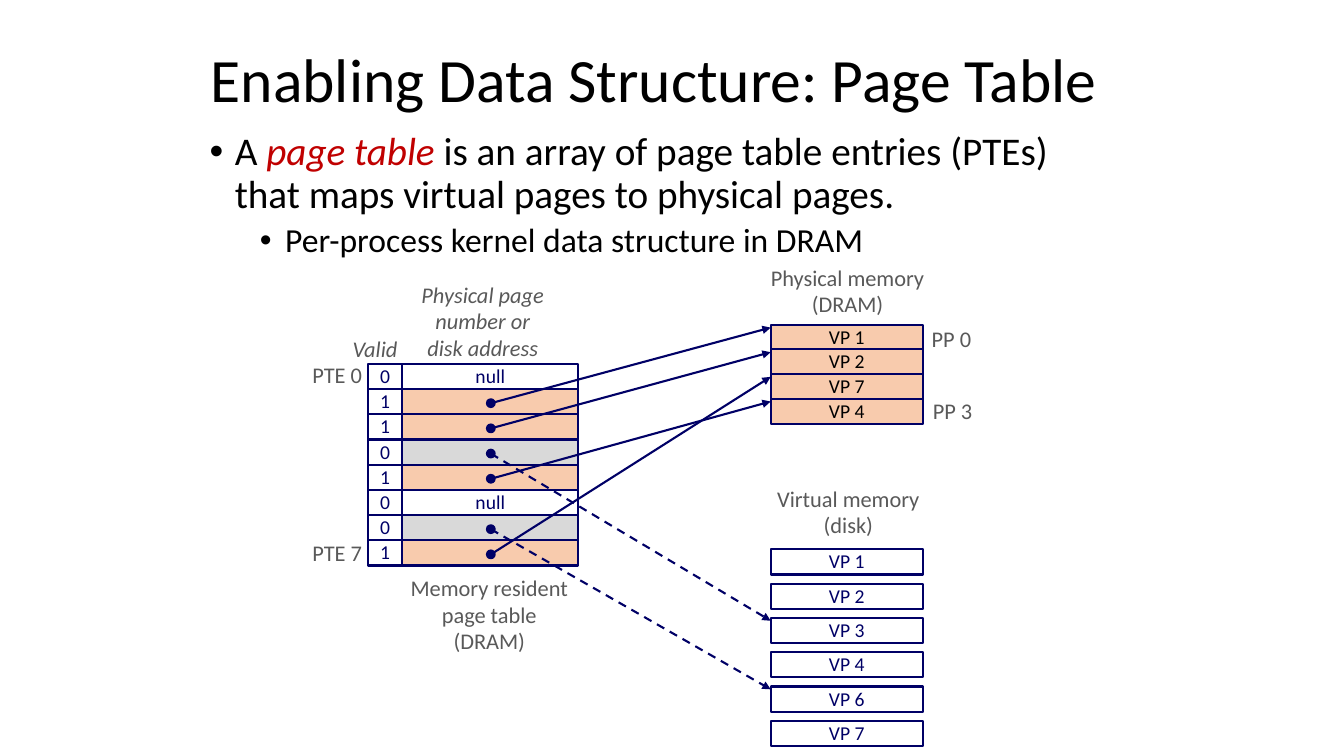
from dataclasses import dataclass
from lxml.etree import SubElement
from pptx import Presentation
from pptx.dml.color import RGBColor
from pptx.enum.dml import MSO_LINE
from pptx.enum.shapes import MSO_CONNECTOR, MSO_SHAPE
from pptx.enum.text import MSO_ANCHOR, PP_ALIGN
from pptx.oxml.ns import qn
from pptx.util import Pt


@dataclass
class Theme:
    """Hold the colours, the font and the type sizes."""
    font: str = "Calibri"
    black: str = "000000"
    navy: str = "000066"
    red: str = "C00000"
    grey: str = "595959"
    pale: str = "D9D9D9"
    peach: str = "F8CBAD"
    white: str = "FFFFFF"
    title: int = 44
    body: int = 28
    sub: int = 24
    label: int = 16
    cell: int = 14


theme = Theme()


def write(frame, text, size=theme.label, color=theme.grey, italic=False,
          align=PP_ALIGN.CENTER, anchor=MSO_ANCHOR.MIDDLE, wrap=False,
          spacing=0.98, before=0, indent=None):
    """Add one paragraph per line of text; *stars* mark red italics."""
    frame.word_wrap = wrap
    frame.vertical_anchor = anchor
    for line in text.split("\n"):
        para = frame.add_paragraph() if frame.text else frame.paragraphs[0]
        para.alignment = align
        para.line_spacing = spacing
        para.space_before = Pt(before)
        for i, part in enumerate(line.split("*")):
            run = para.add_run()
            run.text = part
            font = run.font
            font.name, font.size = theme.font, Pt(size)
            font.italic = italic or i % 2 == 1
            font.color.rgb = RGBColor.from_string(theme.red if i % 2 else color)
        if indent:
            props = para._p.get_or_add_pPr()
            props.set("marL", str(Pt(indent)))
            props.set("indent", str(Pt(-18)))
            SubElement(props, qn("a:buFont"), typeface="Arial")
            SubElement(props, qn("a:buChar"), char="•")


def draw(kind, left, top, width, height, fill, weight=1.5):
    """Add a navy-edged shape and return its text frame."""
    shape = slide.shapes.add_shape(kind, Pt(left), Pt(top), Pt(width), Pt(height))
    shape.shadow.inherit = False
    shape.fill.solid()
    shape.fill.fore_color.rgb = RGBColor.from_string(fill)
    shape.line.color.rgb = RGBColor.from_string(theme.navy)
    shape.line.width = Pt(weight)
    return shape.text_frame


deck = Presentation()
deck.slide_width, deck.slide_height = Pt(960), Pt(540)
slide = deck.slides.add_slide(deck.slide_layouts[5])

# Title and bullets
title = slide.shapes.title
title.left, title.top, title.width, title.height = Pt(143.3), Pt(28), Pt(652), Pt(62)
write(title.text_frame, "Enabling Data Structure: Page Table", size=theme.title,
      color=theme.black, align=PP_ALIGN.LEFT, wrap=True, spacing=0.9)

body = slide.shapes.add_textbox(Pt(142.6), Pt(90.7), Pt(654.5), Pt(101.5)).text_frame
points = [
    ("A *page table *is an array of page table entries (PTEs) "
     "that maps virtual pages to physical pages.", theme.body, 10, 18),
    ("Per-process kernel data structure in DRAM", theme.sub, 5, 54),
]
for text, size, before, indent in points:
    write(body, text, size=size, color=theme.black, align=PP_ALIGN.LEFT,
          anchor=MSO_ANCHOR.TOP, wrap=True, spacing=0.9, before=before, indent=indent)

# Physical and virtual memory: page name -> top of its box
mem_x, mem_w, row_h = 550.5, 108.7, 18
dram = {f"VP {n}": 232 + 17.6 * i for i, n in enumerate((1, 2, 7, 4))}
disk = {f"VP {n}": 392.4 + 24.5 * i for i, n in enumerate((1, 2, 3, 4, 6, 7))}
for pages, fill, ink in ((dram, theme.peach, theme.black),
                         (disk, theme.white, theme.navy)):
    for page, top in pages.items():
        cell = draw(MSO_SHAPE.RECTANGLE, mem_x, top, mem_w, row_h, fill)
        write(cell, page, size=theme.cell, color=ink)

# Page table: valid bit and the page each entry points to
table = [(0, None), (1, "VP 1"), (1, "VP 2"), (0, "VP 3"),
         (1, "VP 4"), (0, None), (0, "VP 6"), (1, "VP 7")]
valid_x, valid_w, entry_x, entry_w, table_y = 263, 24.2, 287.2, 126, 260
dot_x, dot = 350.6, 6
arrows = []
for i, (valid, page) in enumerate(table):
    top = table_y + row_h * i
    fill = theme.white if not page else theme.peach if valid else theme.pale
    bit = draw(MSO_SHAPE.RECTANGLE, valid_x, top, valid_w, row_h, theme.white)
    write(bit, str(valid), size=theme.cell, color=theme.navy)
    entry = draw(MSO_SHAPE.RECTANGLE, entry_x, top, entry_w, row_h, fill)
    if page:
        arrows.append((top + row_h / 2 + 1, valid, page))
    else:
        write(entry, "null", size=theme.cell, color=theme.navy)

# Pointers: solid into memory, dashed to disk
for y, valid, page in arrows:
    draw(MSO_SHAPE.OVAL, dot_x - dot / 2, y - dot / 2, dot, dot, theme.navy, weight=1)
    goal = (dram if valid else disk)[page] + 2
    arrow = slide.shapes.add_connector(MSO_CONNECTOR.STRAIGHT, Pt(dot_x), Pt(y),
                                       Pt(mem_x), Pt(goal))
    arrow.line.color.rgb = RGBColor.from_string(theme.navy)
    arrow.line.width = Pt(1.5)
    if not valid:
        arrow.line.dash_style = MSO_LINE.DASH
    SubElement(arrow.line._get_or_add_ln(), qn("a:tailEnd"), type="triangle")
    SubElement(arrow._element.spPr, qn("a:effectLst"))

# Labels
labels = [
    ("Physical memory\n(DRAM)", 541.4, 185.8, 128, 45.4, {}),
    ("Virtual memory\n(disk)", 545, 343.4, 122, 45.4, {}),
    ("Memory resident\npage table\n(DRAM)", 283, 407.5, 133, 64, {}),
    ("Physical page\nnumber or\ndisk address", 292.3, 198, 105, 64, {"italic": True}),
    ("Valid", 244.8, 236.2, 54, 26.6, {"italic": True, "align": PP_ALIGN.LEFT}),
    ("PTE 0", 215.3, 255, 50.4, 26.6, {"align": PP_ALIGN.RIGHT}),
    ("PTE 7", 215.3, 382.3, 50.4, 26.6, {"align": PP_ALIGN.RIGHT}),
    ("PP 0", 658, 229, 43.2, 26.6, {}),
    ("PP 3", 658.8, 280.8, 43.2, 26.6, {}),
]
for text, left, top, width, height, style in labels:
    label = slide.shapes.add_textbox(Pt(left), Pt(top), Pt(width), Pt(height))
    write(label.text_frame, text, **style)

deck.save("out.pptx")
